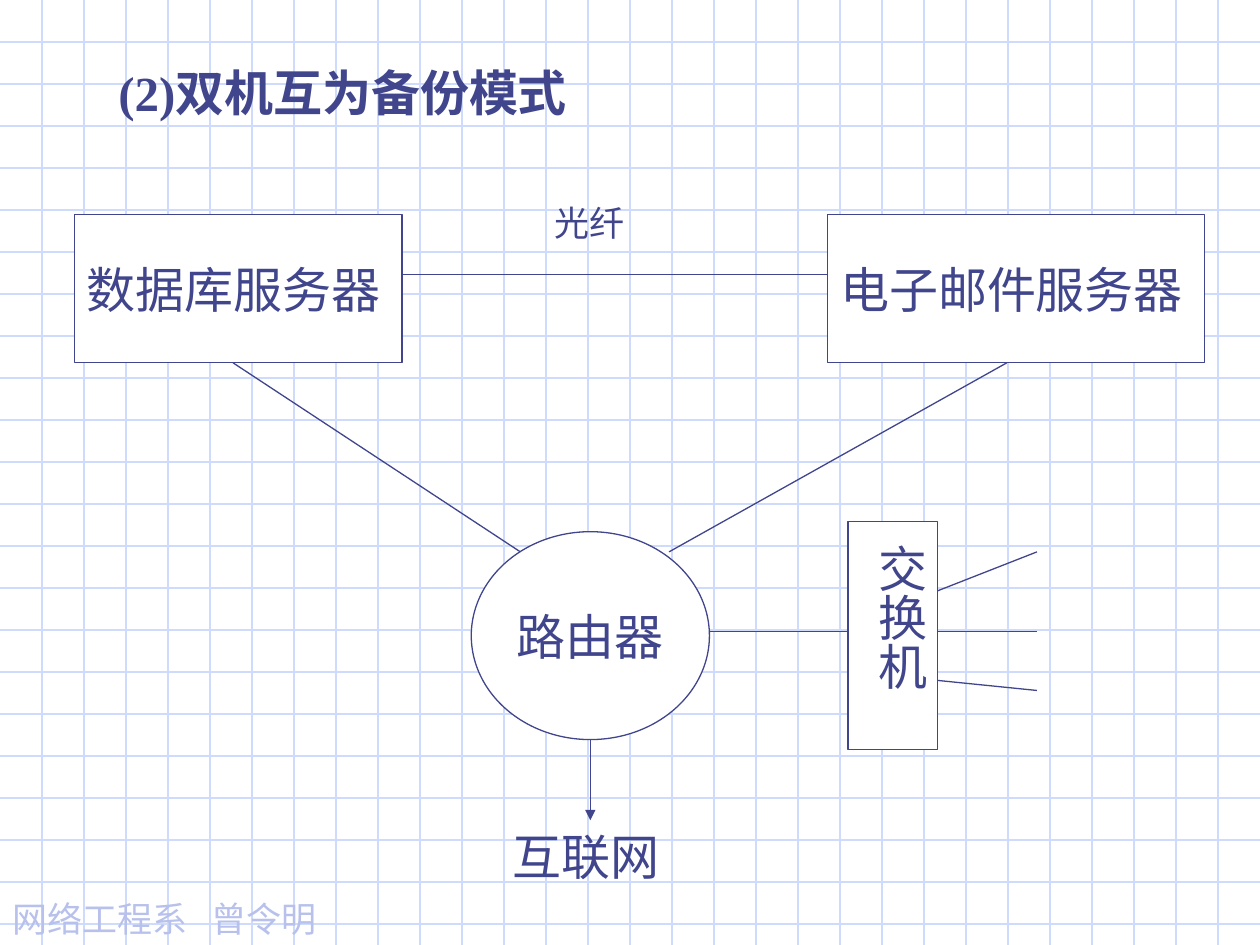
from lxml.etree import SubElement
from pptx import Presentation
from pptx.dml.color import RGBColor
from pptx.enum.shapes import MSO_CONNECTOR, MSO_SHAPE
from pptx.enum.text import MSO_ANCHOR, MSO_AUTO_SIZE, PP_ALIGN
from pptx.oxml.ns import qn
from pptx.util import Inches, Pt

INK = RGBColor(0x40, 0x45, 0x8C)
PALE_INK = RGBColor(0xB7, 0xC1, 0xEB)
GRID = RGBColor(0xCF, 0xDB, 0xFD)
PAPER = RGBColor(0xFF, 0xFF, 0xFF)
CJK_FONT = "Noto Sans CJK JP"
WIDTH, HEIGHT = 10, 7.5


def inches(box):
    return [Inches(length) for length in box]


def write(shape, text, size=28, color=INK, font="Lato", align=PP_ALIGN.CENTER,
          anchor=MSO_ANCHOR.TOP, wrap=True, bold=False):
    frame = shape.text_frame
    frame.text = text
    frame.word_wrap = wrap
    frame.auto_size = MSO_AUTO_SIZE.NONE
    frame.vertical_anchor = anchor
    paragraph = frame.paragraphs[0]
    paragraph.alignment = align
    for run in paragraph.runs:
        run.font.size = Pt(size)
        run.font.name = font
        run.font.bold = bold
        run.font.color.rgb = color
        SubElement(run.font._element, qn("a:ea"), typeface=CJK_FONT)


def add_label(slide, box, text, **style):
    label = slide.shapes.add_textbox(*inches(box))
    write(label, text, **style)
    return label


def add_node(slide, box, preset, text="", align=PP_ALIGN.LEFT):
    node = slide.shapes.add_shape(preset, *inches(box))
    node.shadow.inherit = False
    node.fill.solid()
    node.fill.fore_color.rgb = PAPER
    node.line.color.rgb = INK
    node.line.width = Pt(0.75)
    if text:
        write(node, text, align=align, anchor=MSO_ANCHOR.MIDDLE, wrap=False)


def add_link(slide, start, end, color=INK, arrow=False):
    link = slide.shapes.add_connector(MSO_CONNECTOR.STRAIGHT, *inches(start + end))
    link.line.color.rgb = color
    link.line.width = Pt(0.75)
    if arrow:
        SubElement(link.line._get_or_add_ln(), qn("a:tailEnd"), type="triangle")
    SubElement(link.element.spPr, qn("a:effectLst"))
    return link


def add_backdrop(slide):
    """Draw the squared paper and the footer, and hand them to the layout."""
    rows = [add_link(slide, (0, n / 3), (WIDTH, n / 3), GRID)
            for n in range(1, int(HEIGHT * 3) + 1)]
    columns = [add_link(slide, (n / 3, 0), (n / 3, HEIGHT), GRID)
               for n in range(1, WIDTH * 3)]
    footer = add_label(slide, (0, 7.07, 2.67, 0.44), "网络工程系   曾令明", size=20,
                       color=PALE_INK, font=CJK_FONT, align=PP_ALIGN.LEFT)
    layout_tree = slide.slide_layout.shapes.element
    for number, part in enumerate(rows + columns + [footer], start=100):
        part.element.xpath(".//p:cNvPr")[0].set("id", str(number))
        layout_tree.append(part.element)


def add_title(slide, box):
    title = slide.shapes.title
    title.left, title.top, title.width, title.height = inches(box)
    write(title, "(2)双机互为备份模式", font="Times New Roman",
          align=PP_ALIGN.LEFT, wrap=False, bold=True)
    paragraph = title.text_frame.paragraphs[0]
    paragraph.line_spacing = 1.5
    properties = paragraph._p.get_or_add_pPr()
    properties.set("marL", str(Inches(0.5)))
    properties.set("indent", str(-Inches(0.5)))


def add_servers(slide, top, height):
    add_node(slide, (0.59, top, 2.6, height), MSO_SHAPE.RECTANGLE, "数据库服务器")
    add_node(slide, (6.57, top, 2.99, height), MSO_SHAPE.RECTANGLE, "电子邮件服务器")
    add_link(slide, (3.19, top + 0.48), (6.57, top + 0.48))
    add_label(slide, (3.5, top - 0.15, 2.36, 0.44), "光纤", size=20)


def add_router(slide, box, servers_bottom):
    left, top, width, height = box
    center, bottom = left + width / 2, top + height
    add_node(slide, box, MSO_SHAPE.OVAL, "路由器", PP_ALIGN.CENTER)
    add_link(slide, (1.85, servers_bottom), (4.13, top + 0.16))
    add_link(slide, (7.99, servers_bottom), (5.31, top + 0.16))
    add_link(slide, (center, bottom), (center, 6.51), arrow=True)
    add_label(slide, (3.9, 6.51, 1.5, 0.57), "互联网")


def add_switch(slide, box, router_right):
    left, top, width, height = box
    right = left + width
    add_node(slide, box, MSO_SHAPE.RECTANGLE)
    label = add_label(slide, (left + 0.05, top + 0.08, width - 0.05, 1.57), "交换机")
    frame = label.text_frame
    frame.margin_left = frame.margin_right = Inches(0.05)
    frame.margin_top = frame.margin_bottom = Inches(0.1)
    frame._txBody.bodyPr.set("vert", "eaVert")
    add_link(slide, (router_right, 5.01), (left, 5.01))
    for port_y, end_y in ((4.69, 4.38), (5.01, 5.01), (5.4, 5.48)):
        add_link(slide, (right, port_y), (8.23, end_y))


def main():
    prs = Presentation()
    prs.slide_width, prs.slide_height = Inches(WIDTH), Inches(HEIGHT)
    slide = prs.slides.add_slide(prs.slide_layouts[5])
    add_backdrop(slide)
    add_title(slide, (0.84, 0.21, 4.85, 0.8))
    add_servers(slide, top=1.7, height=1.18)
    add_router(slide, (3.74, 4.22, 1.89, 1.65), servers_bottom=2.88)
    add_switch(slide, (6.73, 4.14, 0.71, 1.81), router_right=5.63)
    prs.save("out.pptx")


if __name__ == "__main__":
    main()
